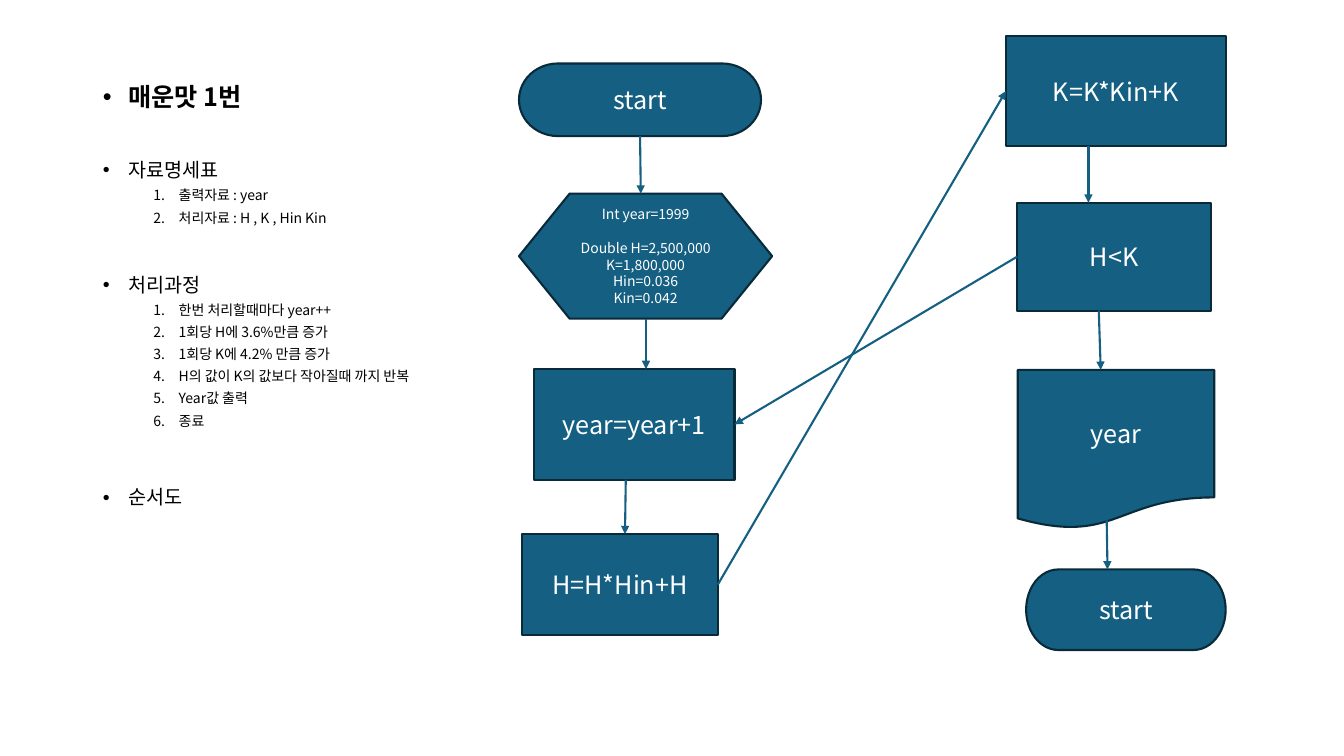
from pptx import Presentation
from pptx import util as u
from pptx.dml.color import RGBColor
from pptx.enum import shapes, text
from pptx.oxml.ns import qn
from lxml import etree

FONT = "Noto Sans CJK KR"
HUES = {"fill": "156082", "edge": "092A39", "ink": "000000", "pale": "FFFFFF"}
KIND = shapes.MSO_SHAPE
LEFT, BOTTOM, RIGHT = 1, 2, 3


def hue(name):
    return RGBColor.from_string(HUES[name])


def write(para, words, size=18, color="pale", bold=False, gap=0, align=None, line=None):
    para.space_before = u.Pt(gap)
    para.alignment = align
    para.line_spacing = line
    run = para.add_run()
    run.text = words
    font = run.font
    font.size = u.Pt(size)
    font.bold = bold
    font.color.rgb = hue(color)
    font.name = FONT
    face = etree.SubElement(run._r.get_or_add_rPr(), qn("a:ea"))
    face.set("typeface", FONT)


def paras(frame, count):
    return [frame.paragraphs[0]] + [frame.add_paragraph() for _ in range(count - 1)]


class Chart:
    def __init__(self, deck):
        self.slide = deck.slides.add_slide(deck.slide_layouts[1])
        self.width = u.Pt(1.5)

    def notes(self, box, rows):
        title = self.slide.shapes.title
        title._element.getparent().remove(title._element)
        body = self.slide.placeholders[1]
        body.left, body.top, body.width, body.height = map(u.Cm, box)
        frame = body.text_frame
        frame.auto_size = text.MSO_AUTO_SIZE.NONE
        frame.vertical_anchor = text.MSO_ANCHOR.TOP
        for para, (words, level, size, gap) in zip(paras(frame, len(rows)), rows):
            para.level = level
            write(para, words, size, "ink", size == 18, gap, line=0.9)
            self.mark(para, level)

    def mark(self, para, level):
        props = para._p.get_or_add_pPr()
        props.set("marL", str(u.Cm(1.91 if level else 0.64)))
        props.set("indent", str(u.Cm(-0.64)))
        font = etree.SubElement(props, qn("a:buFont"))
        font.set("typeface", FONT if level else "Arial")
        if level:
            etree.SubElement(props, qn("a:buAutoNum")).set("type", "arabicPeriod")
        else:
            etree.SubElement(props, qn("a:buChar")).set("char", "•")

    def block(self, kind, box, rows, size=18):
        shape = self.slide.shapes.add_shape(kind, *map(u.Cm, box))
        shape.shadow.inherit = False
        shape.fill.solid()
        shape.fill.fore_color.rgb = hue("fill")
        shape.line.color.rgb = hue("edge")
        shape.line.width = self.width
        frame = shape.text_frame
        frame.word_wrap = True
        frame.vertical_anchor = text.MSO_ANCHOR.MIDDLE
        for para, (words, gap) in zip(paras(frame, len(rows)), rows):
            write(para, words, size, gap=gap, align=text.PP_ALIGN.CENTER)
        return shape

    def arrow(self, ends=(0, 0, 0, 0)):
        link = self.slide.shapes.add_connector(shapes.MSO_CONNECTOR.STRAIGHT, *map(u.Cm, ends))
        link.line.color.rgb = hue("fill")
        link.line.width = self.width
        etree.SubElement(link.line._get_or_add_ln(), qn("a:tailEnd")).set("type", "triangle")
        etree.SubElement(link._element.spPr, qn("a:effectLst"))
        return link

    def join(self, first, last):
        link = self.arrow()
        link.begin_connect(*first)
        link.end_connect(*last)


NOTES = [
    ("매운맛 1번", 0, 18, 0),
    ("자료명세표", 0, 14, 35),
    ("출력자료 : year", 1, 10, 5),
    ("처리자료 : H , K , Hin Kin", 1, 10, 5),
    ("처리과정", 0, 14, 35),
    ("한번 처리할때마다 year++", 1, 10, 5),
    ("1회당 H에 3.6%만큼 증가", 1, 10, 5),
    ("1회당 K에 4.2% 만큼 증가", 1, 10, 5),
    ("H의 값이 K의 값보다 작아질때 까지 반복", 1, 10, 5),
    ("Year값 출력", 1, 10, 5),
    ("종료", 1, 10, 5),
    ("순서도", 0, 14, 42),
]
SETUP = [
    ("Int year=1999", 0),
    ("Double H=2,500,000 K=1,800,000", 12),
    ("Hin=0.036", 0),
    ("Kin=0.042", 0),
]
STEPS = [
    (KIND.FLOWCHART_PROCESS, (13.46, 9.3, 5.05, 2.79), "year=year+1"),
    (KIND.FLOWCHART_PROCESS, (13.16, 13.46, 4.93, 2.54), "H=H*Hin+H"),
    (KIND.FLOWCHART_PROCESS, (25.35, 0.91, 5.54, 2.77), "K=K*Kin+K"),
    (KIND.FLOWCHART_PROCESS, (25.63, 5.11, 4.9, 2.72), "H<K"),
    (KIND.FLOWCHART_DOCUMENT, (25.65, 9.32, 4.95, 4.01), "year"),
    (KIND.FLOWCHART_TERMINATOR, (25.86, 14.35, 5.03, 2.03), "start"),
]
ARROWS = [
    (16.28, 8.03, 16.28, 9.3),
    (15.77, 12.09, 15.75, 13.46),
    (27.43, 3.68, 27.43, 5.11),
    (27.69, 7.83, 27.74, 9.32),
    (27.89, 13.11, 27.91, 14.35),
]


def main():
    deck = Presentation()
    deck.slide_width, deck.slide_height = u.Cm(33.87), u.Cm(19.05)
    chart = Chart(deck)
    chart.notes((2.34, 2, 29.21, 15.2), NOTES)
    start = chart.block(KIND.FLOWCHART_TERMINATOR, (13.08, 1.6, 6.1, 1.83), [("start", 0)])
    chart.block(KIND.FLOWCHART_PREPARATION, (13.08, 4.88, 6.38, 3.15), SETUP, 10)
    steps = {words: chart.block(kind, box, [(words, 0)]) for kind, box, words in STEPS}
    chart.arrow((16.13, 3.43, 16.15, 4.88)).begin_connect(start, BOTTOM)
    for ends in ARROWS:
        chart.arrow(ends)
    chart.join((steps["H=H*Hin+H"], RIGHT), (steps["K=K*Kin+K"], LEFT))
    chart.join((steps["H<K"], LEFT), (steps["year=year+1"], RIGHT))
    deck.save("out.pptx")


if __name__ == "__main__":
    main()
